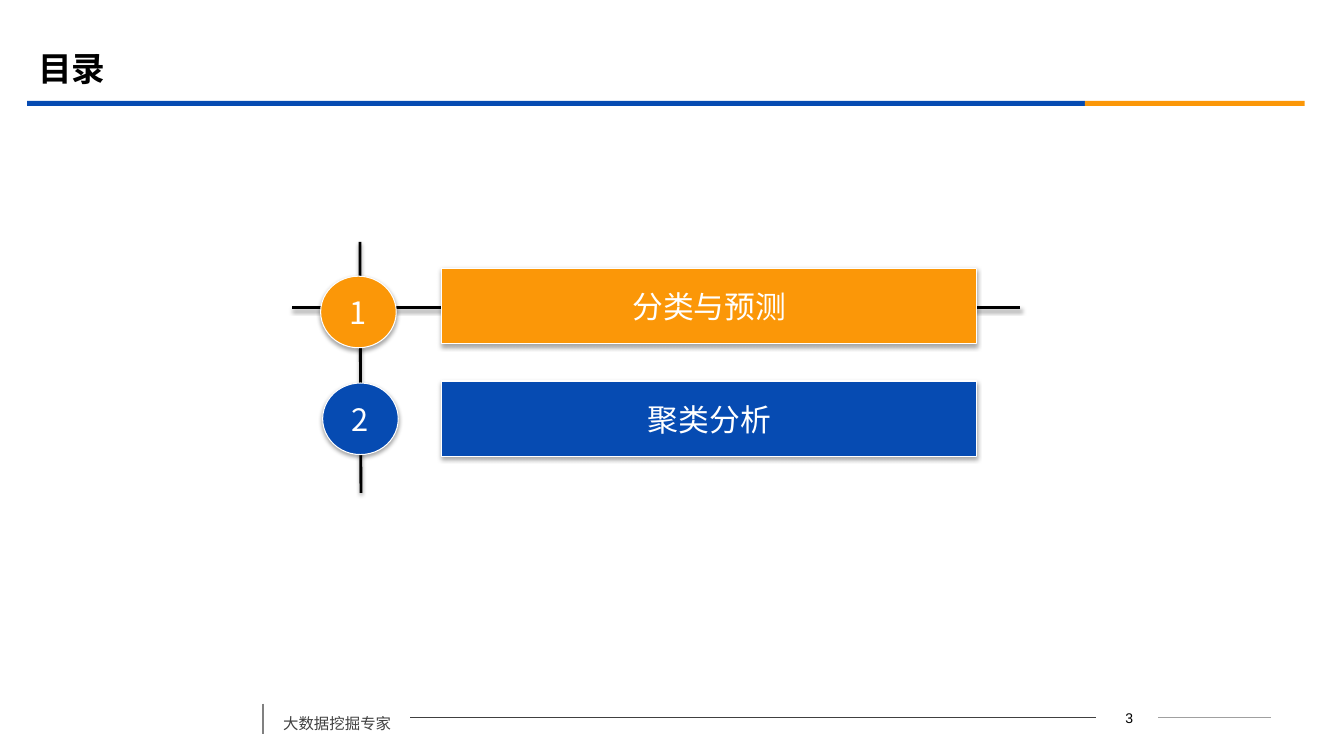
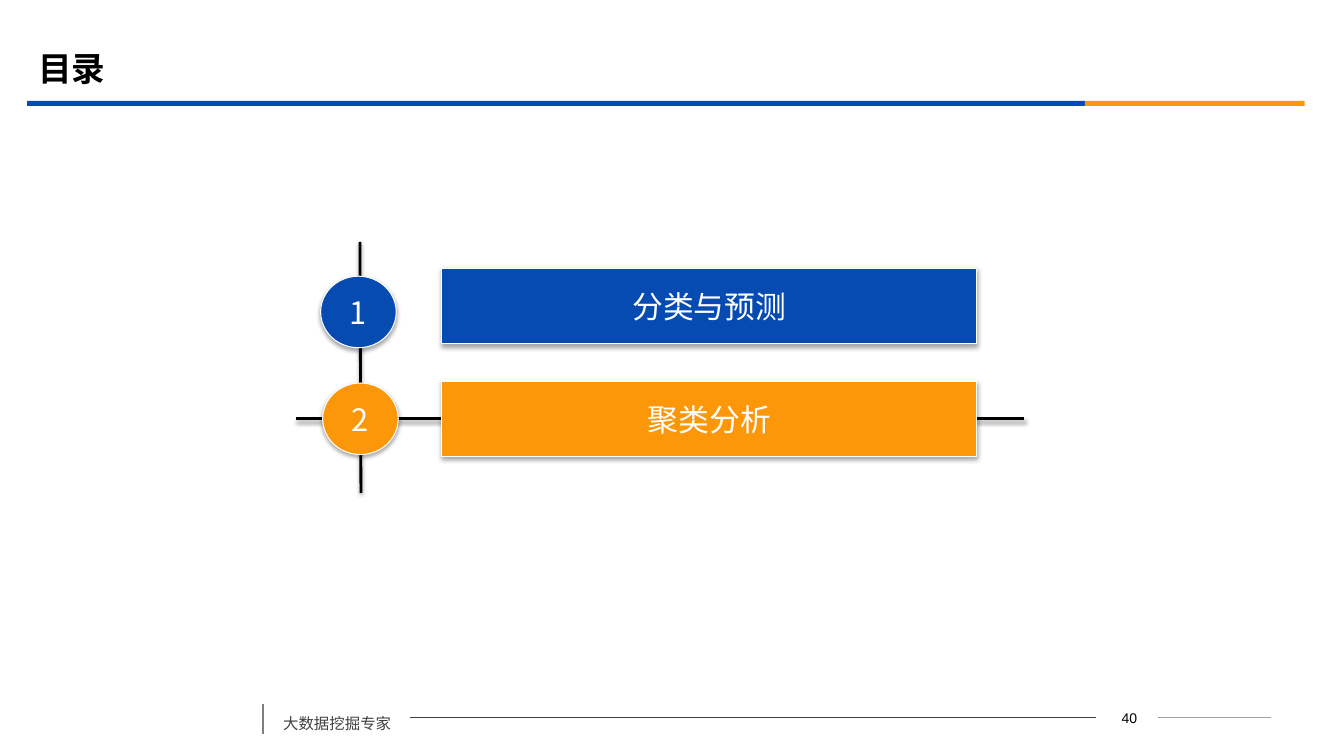
from collections import namedtuple

from pptx import Presentation
from pptx.dml.color import RGBColor
from pptx.enum.shapes import MSO_CONNECTOR, MSO_SHAPE
from pptx.enum.text import MSO_ANCHOR, PP_ALIGN
from pptx.oxml import parse_xml
from pptx.oxml.ns import nsdecls
from pptx.util import Pt

Theme = namedtuple("Theme", "blue gold black white dark gray pale sans num head item foot page")
theme = Theme(
    *map(RGBColor.from_string,
         ["064BB2", "FB9708", "000000", "FFFFFF", "404040", "808080", "A0A0A0"]),
    "Noto Sans CJK SC", "Arial", Pt(24), Pt(22), Pt(11), Pt(10))
PX = 9144


def shade(shape, alpha, drop):
    fx = parse_xml(f"<a:effectLst {nsdecls('a')}/>")
    if alpha:
        fx.append(parse_xml(
            f'<a:outerShdw {nsdecls("a")} blurRad="{Pt(3.1)}" dist="{Pt(drop)}" '
            f'dir="5400000" rotWithShape="0"><a:srgbClr val="{theme.black}">'
            f'<a:alpha val="{alpha}000"/></a:srgbClr></a:outerShdw>'))
    shape.element.spPr.append(fx)


def write(frame, text, size, color, face=theme.sans, align=PP_ALIGN.CENTER):
    par = frame.paragraphs[0]
    par.alignment = align
    run = par.add_run()
    run.text = text
    font = run.font
    font.size, font.color.rgb, font.name = size, color, face
    run._r.get_or_add_rPr().append(
        parse_xml(f'<a:ea {nsdecls("a")} typeface="{face}"/>'))
    return par


deck = Presentation()
deck.slide_width, deck.slide_height = 1333 * PX, 750 * PX
layout = deck.slide_layouts[5]
head, *rest = layout.placeholders
for old in rest:
    old.element.getparent().remove(old.element)
head.left, head.top, head.width, head.height = [n * PX for n in (28, 39, 1200, 58)]
head.text_frame.vertical_anchor = MSO_ANCHOR.MIDDLE

first = deck.slides.add_slide(layout)
marks = []
for left, width, color in [(27, 1049, theme.blue), (1076, 218, theme.gold)]:
    bar = first.shapes.add_shape(
        MSO_SHAPE.RECTANGLE, left * PX, 100 * PX, width * PX, 5 * PX)
    bar.shadow.inherit = False
    bar.fill.solid()
    bar.fill.fore_color.rgb = color
    bar.line.fill.background()
    marks.append(bar)

for x1, y1, x2, y2, color, width in [
        (1149, 712, 1261, 712, theme.pale, 0.75),
        (407, 712, 1087, 712, theme.dark, 0.75),
        (261, 698, 261, 728, theme.gray, 1.25)]:
    rule = first.shapes.add_connector(
        MSO_CONNECTOR.STRAIGHT, x1 * PX, y1 * PX, x2 * PX, y2 * PX)
    rule.line.color.rgb = color
    rule.line.width = Pt(width)
    shade(rule, 0, 0)
    marks.append(rule)

foot = first.shapes.add_textbox(271 * PX, 694 * PX, 136 * PX, 38 * PX)
foot.text_frame.word_wrap = True
par = write(foot.text_frame, "大数据挖掘专家", theme.foot, theme.dark, align=PP_ALIGN.LEFT)
par.line_spacing = 1.5
par.space_before = Pt(6)
marks.append(foot)
for mark in marks:
    layout.shapes.element.append(mark.element)

items = [("分类与预测", 318, 274, 266), ("聚类分析", 320, 380, 378)]
pages = [(first, "3", 0, 290, 305), (deck.slides.add_slide(layout), "40", 1, 294, 415)]

for slide, page, live, start, level in pages:
    shapes = slide.shapes
    par = write(shapes.title.text_frame, "目录", theme.head, theme.black, align=PP_ALIGN.LEFT)
    par.runs[0].font.bold = True

    for x1, y1, x2, y2 in [(357, 240, 358, 489), (start, level, start + 722, level)]:
        axis = shapes.add_connector(
            MSO_CONNECTOR.STRAIGHT, x1 * PX, y1 * PX, x2 * PX, y2 * PX)
        axis.line.color.rgb = theme.black
        axis.line.width = Pt(2)
        shade(axis, 38, 1.6)

    for i, (label, left, high, top) in enumerate(items):
        for kind, text, x, y, w, h in [
                (MSO_SHAPE.OVAL, str(i + 1), left, high, 75, 71),
                (MSO_SHAPE.ACTION_BUTTON_CUSTOM, label, 438, top, 531, 75)]:
            shape = shapes.add_shape(kind, x * PX, y * PX, w * PX, h * PX)
            shape.fill.solid()
            shape.fill.fore_color.rgb = theme.gold if i == live else theme.blue
            shape.line.color.rgb = theme.white
            shape.line.width = Pt(0.75)
            shade(shape, 35, 1.8)
            frame = shape.text_frame
            frame.word_wrap = False
            frame.vertical_anchor = MSO_ANCHOR.MIDDLE
            write(frame, text, theme.item, theme.white)

    box = shapes.add_textbox(1089 * PX, 699 * PX, 62 * PX, 25 * PX)
    box.text_frame.word_wrap = True
    write(box.text_frame, page, theme.page, theme.black, theme.num)

deck.save("out.pptx")
